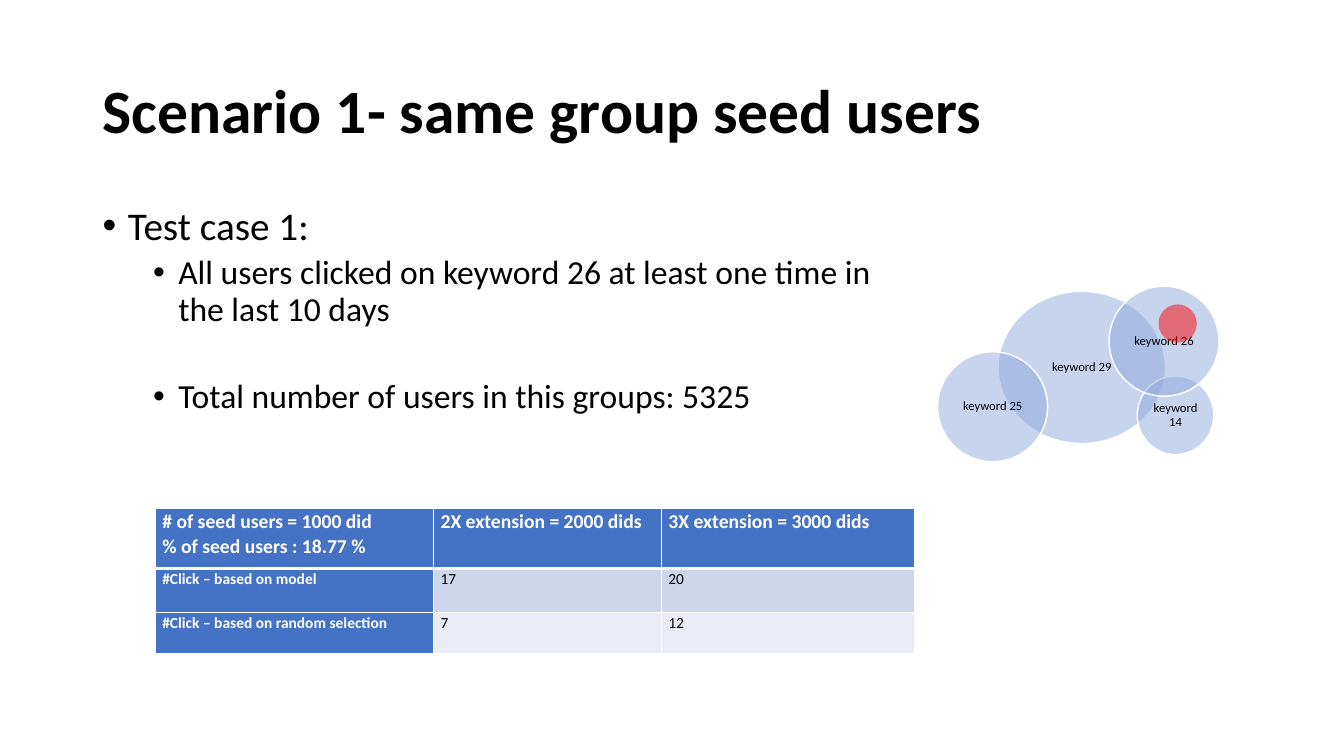
from dataclasses import dataclass

from lxml.etree import SubElement
from pptx import Presentation
from pptx.dml.color import RGBColor
from pptx.enum.shapes import MSO_SHAPE
from pptx.enum.text import MSO_ANCHOR, PP_ALIGN
from pptx.oxml.ns import qn
from pptx.util import Inches, Pt


@dataclass(frozen=True)
class Theme:
    font: str = "Calibri"
    black: str = "000000"
    white: str = "FFFFFF"
    header: str = "4472C4"
    bands: tuple = ("CFD5EA", "E9EBF5")
    circle: str = "8FAADC"
    seed: str = "FF0000"
    title_size: int = 44
    body_sizes: tuple = (28, 24)
    label_size: int = 9
    header_size: int = 14
    cell_size: int = 11


THEME = Theme()

BULLETS = [
    (0, "Test case 1:", 0),
    (1, "All users clicked on keyword 26 at least one time in the last 10 days", 5),
    (1, "Total number of users in this groups: 5325", 36.4),
]
KEYWORDS = [
    ("keyword 29", 0.6, 0.05, 1.66, 1.51),
    ("keyword 14", 1.98, 0.89, 0.76, 0.78),
    ("keyword 26", 1.7, 0, 1.09, 1.09),
    ("keyword 25", 0, 0.65, 1.09, 1.09),
]
COLUMN_WIDTHS = (2.76, 2.26, 2.51)
ROW_HEIGHTS = (0.6, 0.44, 0.4)
CLICKS = [
    ("# of seed users = 1000 did\n% of seed users : 18.77 %",
     "2X extension = 2000 dids", "3X extension = 3000 dids"),
    ("#Click – based on model", "17", "20"),
    ("#Click – based on random selection", "7", "12"),
]


def style_paragraph(paragraph, size, color, bold=False, line_spacing=0.9):
    paragraph.line_spacing = line_spacing
    font = paragraph.font
    font.name = THEME.font
    font.size = Pt(size)
    font.bold = bold
    font.color.rgb = RGBColor.from_string(color)


def add_text_frame(slide, left, top, width, height):
    box = slide.shapes.add_textbox(Inches(left), Inches(top), Inches(width), Inches(height))
    box.text_frame.word_wrap = True
    return box.text_frame


def add_title(slide, left, top, width, height):
    frame = add_text_frame(slide, left, top, width, height)
    frame.vertical_anchor = MSO_ANCHOR.MIDDLE
    frame.text = "Scenario 1- same group seed users"
    style_paragraph(frame.paragraphs[0], THEME.title_size, THEME.black, bold=True)


def add_bullets(slide, left, top, width, height):
    frame = add_text_frame(slide, left, top, width, height)
    for index, (level, text, space_before) in enumerate(BULLETS):
        paragraph = frame.paragraphs[0] if index == 0 else frame.add_paragraph()
        paragraph.text = text
        paragraph.level = level
        paragraph.space_before = Pt(space_before)
        paragraph.line_spacing = 0.9
        properties = paragraph._p.get_or_add_pPr()
        properties.set("marL", str(Inches(0.25 + 0.5 * level)))
        properties.set("indent", str(Inches(-0.25)))
        SubElement(properties, qn("a:buFont"), typeface="Arial")
        SubElement(properties, qn("a:buChar"), char="•")
        style_paragraph(paragraph, THEME.body_sizes[level], THEME.black)


def add_circle(slide, left, top, width, height, color):
    circle = slide.shapes.add_shape(
        MSO_SHAPE.OVAL, Inches(left), Inches(top), Inches(width), Inches(height))
    circle.shadow.inherit = False
    circle.fill.solid()
    circle.fill.fore_color.rgb = RGBColor.from_string(color)
    fill_color = circle.fill._xPr.find(qn("a:solidFill"))[0]
    SubElement(fill_color, qn("a:alpha"), val="50000")
    return circle


def add_keyword_circles(slide, left, top):
    for label, across, down, width, height in KEYWORDS:
        circle = add_circle(slide, left + across, top + down, width, height, THEME.circle)
        circle.line.color.rgb = RGBColor.from_string(THEME.white)
        circle.line.width = Pt(1)
        frame = circle.text_frame
        frame.word_wrap = True
        frame.vertical_anchor = MSO_ANCHOR.MIDDLE
        frame.margin_left = frame.margin_right = Inches(0.04)
        frame.margin_top = frame.margin_bottom = Inches(0.04)
        frame.text = label
        paragraph = frame.paragraphs[0]
        paragraph.alignment = PP_ALIGN.CENTER
        style_paragraph(paragraph, THEME.label_size, THEME.black)


def add_seed_circle(slide, left, top, diameter):
    circle = add_circle(slide, left, top, diameter, diameter, THEME.seed)
    circle.line.fill.background()


def add_borders(cell, row):
    widths = {"L": 1, "R": 1, "T": 3 if row == 1 else 1, "B": 3 if row == 0 else 1}
    properties = cell._tc.get_or_add_tcPr()
    for side, width in widths.items():
        line = SubElement(properties, qn(f"a:ln{side}"), w=str(Pt(width)))
        fill = SubElement(line, qn("a:solidFill"))
        SubElement(fill, qn("a:srgbClr"), val=THEME.white)


def fill_cell(cell, row, column, text):
    heading = row == 0 or column == 0
    cell.margin_left = cell.margin_right = Inches(0.07)
    cell.margin_top = cell.margin_bottom = 0
    add_borders(cell, row)
    cell.fill.solid()
    cell.fill.fore_color.rgb = RGBColor.from_string(
        THEME.header if heading else THEME.bands[row - 1])
    cell.text = text
    for paragraph in cell.text_frame.paragraphs:
        style_paragraph(
            paragraph, THEME.header_size if row == 0 else THEME.cell_size,
            THEME.white if heading else THEME.black, heading, 1.07)


def add_click_table(slide, left, top):
    table = slide.shapes.add_table(
        len(ROW_HEIGHTS), len(COLUMN_WIDTHS), Inches(left), Inches(top),
        Inches(sum(COLUMN_WIDTHS)), Inches(sum(ROW_HEIGHTS))).table
    table.first_col = True
    for column, width in zip(table.columns, COLUMN_WIDTHS):
        column.width = Inches(width)
    for row, height in zip(table.rows, ROW_HEIGHTS):
        row.height = Inches(height)
    for row, texts in enumerate(CLICKS):
        for column, text in enumerate(texts):
            fill_cell(table.cell(row, column), row, column, text)


def main():
    presentation = Presentation()
    presentation.slide_width = Inches(13.33)
    presentation.slide_height = Inches(7.5)
    slide = presentation.slides.add_slide(presentation.slide_layouts[6])
    add_title(slide, 0.92, 0.4, 11.5, 1.45)
    add_bullets(slide, 0.92, 2, 8.15, 4.76)
    add_keyword_circles(slide, 9.3, 2.84)
    add_click_table(slide, 1.54, 5.04)
    add_seed_circle(slide, 11.49, 3.02, 0.38)
    presentation.save("out.pptx")


if __name__ == "__main__":
    main()
